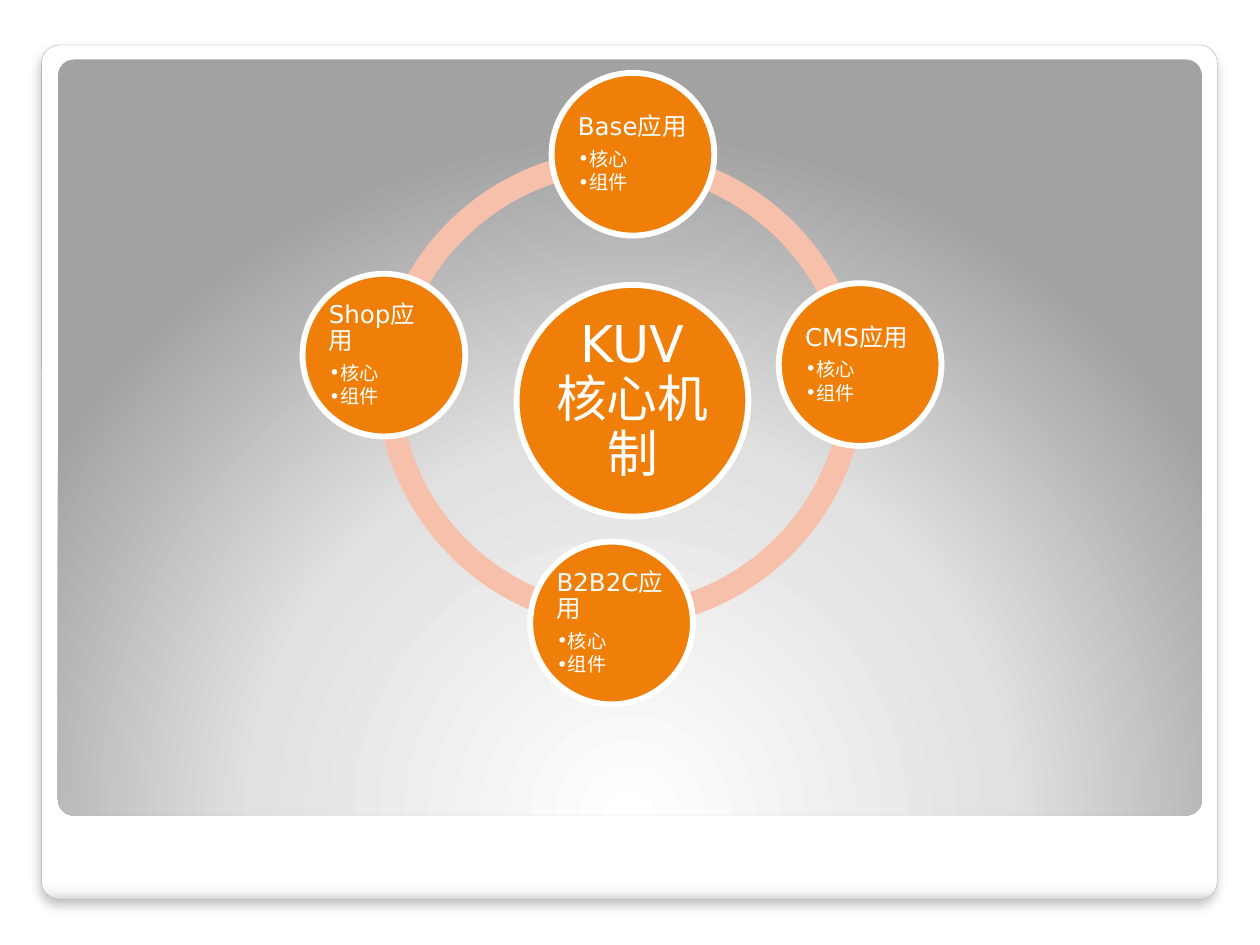
from lxml import etree
from pptx import Presentation
from pptx.dml.color import RGBColor
from pptx.enum.shapes import MSO_SHAPE
from pptx.enum.text import MSO_ANCHOR, PP_ALIGN
from pptx.oxml.ns import qn
from pptx.util import Cm, Pt

ROUNDED = MSO_SHAPE.ROUNDED_RECTANGLE
BLOCK_ARC = MSO_SHAPE.BLOCK_ARC
OVAL = MSO_SHAPE.OVAL
MIDDLE = MSO_ANCHOR.MIDDLE
LEFT, CENTER = PP_ALIGN.LEFT, PP_ALIGN.CENTER

WHITE = RGBColor(0xFF, 0xFF, 0xFF)
BLACK = RGBColor(0x00, 0x00, 0x00)
NEAR_WHITE = RGBColor(0xF7, 0xF7, 0xF7)
EDGE_GREY = RGBColor(0xDA, 0xDA, 0xDA)
LIGHT_GREY = RGBColor(0xE1, 0xE1, 0xE1)
MID_GREY = RGBColor(0xA2, 0xA2, 0xA2)
OUTLINE_GREY = RGBColor(0xA4, 0xA4, 0xA4)
ORANGE = RGBColor(0xF0, 0x7F, 0x09)
PEACH = RGBColor(0xF6, 0xC0, 0xAB)

FONT = "DejaVu Sans"
HUB_SIZE = 4.67
APP_SIZE = 3.28
RING_SIZE = 10.16
RING_THICKNESS = 0.046

HUB_TITLE = "KUV核心机制"
HUB_CENTER = (6.65, 6.61)
APPS = [
    ("Base应用", 6.66, 1.64),
    ("CMS应用", 11.24, 5.88),
    ("B2B2C应用", 6.23, 11.09),
    ("Shop应用", 1.64, 5.69),
]
APP_PARTS = ["核心", "组件"]
ARCS = [
    (1.44, 1.53, 190.6, 271.7),
    (1.49, 1.07, 94, 185.2),
    (1.19, 1.04, 357.1, 90.5),
    (1.24, 1.53, 273.9, 351.7),
]


def add_child(parent, tag, **attributes):
    child = etree.SubElement(parent, qn(tag))
    for name, value in attributes.items():
        child.set(name, str(value))
    return child


def add_plain_shape(slide, kind, left, top, width, height):
    shape = slide.shapes.add_shape(kind, Cm(left), Cm(top), Cm(width), Cm(height))
    shape.shadow.inherit = False
    shape.line.fill.background()
    return shape


def set_gradient(shape, stops):
    geometry = shape._element.spPr.find(qn("a:prstGeom"))
    gradient = etree.Element(qn("a:gradFill"), rotWithShape="1")
    stop_list = add_child(gradient, "a:gsLst")
    for percent, color in stops:
        stop = add_child(stop_list, "a:gs", pos=percent * 1000)
        add_child(stop, "a:srgbClr", val=color)
    geometry.addnext(gradient)
    return gradient


def add_soft_shadow(shape):
    effects = shape._element.spPr.find(qn("a:effectLst"))
    shadow = add_child(effects, "a:outerShdw", blurRad=Pt(6), dist=Pt(4),
                       dir=90 * 60000, algn="t", rotWithShape=0)
    color = add_child(shadow, "a:srgbClr", val=BLACK)
    add_child(color, "a:alpha", val=25000)


def add_frame(slide, left, top, width, height):
    card = add_plain_shape(slide, ROUNDED, left, top, width, height)
    card.adjustments[0] = 0.021
    gradient = set_gradient(
        card, [(0, WHITE), (98, WHITE), (99, NEAR_WHITE), (100, EDGE_GREY)])
    add_child(gradient, "a:lin", ang=90 * 60000, scaled=0)
    card.line.color.rgb = OUTLINE_GREY
    card.line.width = Pt(0.16)
    add_soft_shadow(card)

    panel = add_plain_shape(slide, ROUNDED, left + 0.33, top + 0.29,
                            width - 0.64, height - 1.98)
    panel.adjustments[0] = 0.021
    gradient = set_gradient(panel, [(0, WHITE), (55, LIGHT_GREY), (100, MID_GREY)])
    glow = add_child(gradient, "a:path", path="circle")
    add_child(glow, "a:fillToRect", l=50000, t=175000, r=50000, b=-75000)


def add_arc(slide, left, top, start, end):
    arc = add_plain_shape(slide, BLOCK_ARC, left, top, RING_SIZE, RING_SIZE)
    for index, value in enumerate((start * 0.6, end * 0.6, RING_THICKNESS)):
        arc.adjustments[index] = value
    arc.fill.solid()
    arc.fill.fore_color.rgb = PEACH


def add_circle(slide, center_x, center_y, size, inset):
    circle = add_plain_shape(slide, OVAL, center_x - size / 2, center_y - size / 2,
                             size, size)
    circle.fill.solid()
    circle.fill.fore_color.rgb = ORANGE
    circle.line.color.rgb = WHITE
    circle.line.width = Pt(3.35)
    frame = circle.text_frame
    frame.word_wrap = True
    frame.vertical_anchor = MIDDLE
    frame.margin_left = frame.margin_right = Cm(inset)
    frame.margin_top = frame.margin_bottom = Cm(inset)
    return frame


def write_paragraph(paragraph, text, size, alignment, space_share):
    paragraph.alignment = alignment
    paragraph.line_spacing = 0.9
    paragraph.space_after = Pt(round(size * space_share, 1))
    run = paragraph.add_run()
    run.text = text
    run.font.name = FONT
    run.font.size = Pt(size)
    run.font.color.rgb = WHITE


def add_bullet(paragraph):
    paragraph.level = 1
    properties = paragraph._p.get_or_add_pPr()
    properties.set("marL", str(Cm(0.15)))
    properties.set("indent", str(-Cm(0.15)))
    add_child(properties, "a:buFont", typeface=FONT)
    add_child(properties, "a:buChar", char="•")


def add_app(slide, name, center_x, center_y):
    frame = add_circle(slide, center_x, center_y, APP_SIZE, 0.05)
    write_paragraph(frame.paragraphs[0], name, 14, LEFT, 0.35)
    for part in APP_PARTS:
        paragraph = frame.add_paragraph()
        write_paragraph(paragraph, part, 11, LEFT, 0.15)
        add_bullet(paragraph)


def add_diagram(slide, left, top):
    for x, y, start, end in ARCS:
        add_arc(slide, left + x, top + y, start, end)
    hub_x, hub_y = HUB_CENTER
    hub = add_circle(slide, left + hub_x, top + hub_y, HUB_SIZE, 0.1)
    write_paragraph(hub.paragraphs[0], HUB_TITLE, 29, CENTER, 0.35)
    for name, x, y in APPS:
        add_app(slide, name, left + x, top + y)


def main():
    presentation = Presentation()
    presentation.slide_width = Cm(25.4)
    presentation.slide_height = Cm(19.05)
    slide = presentation.slides.add_slide(presentation.slide_layouts[6])
    add_frame(slide, 0.84, 0.91, 23.7, 17.22)
    add_diagram(slide, 6.1, 1.47)
    presentation.save("out.pptx")


if __name__ == "__main__":
    main()
